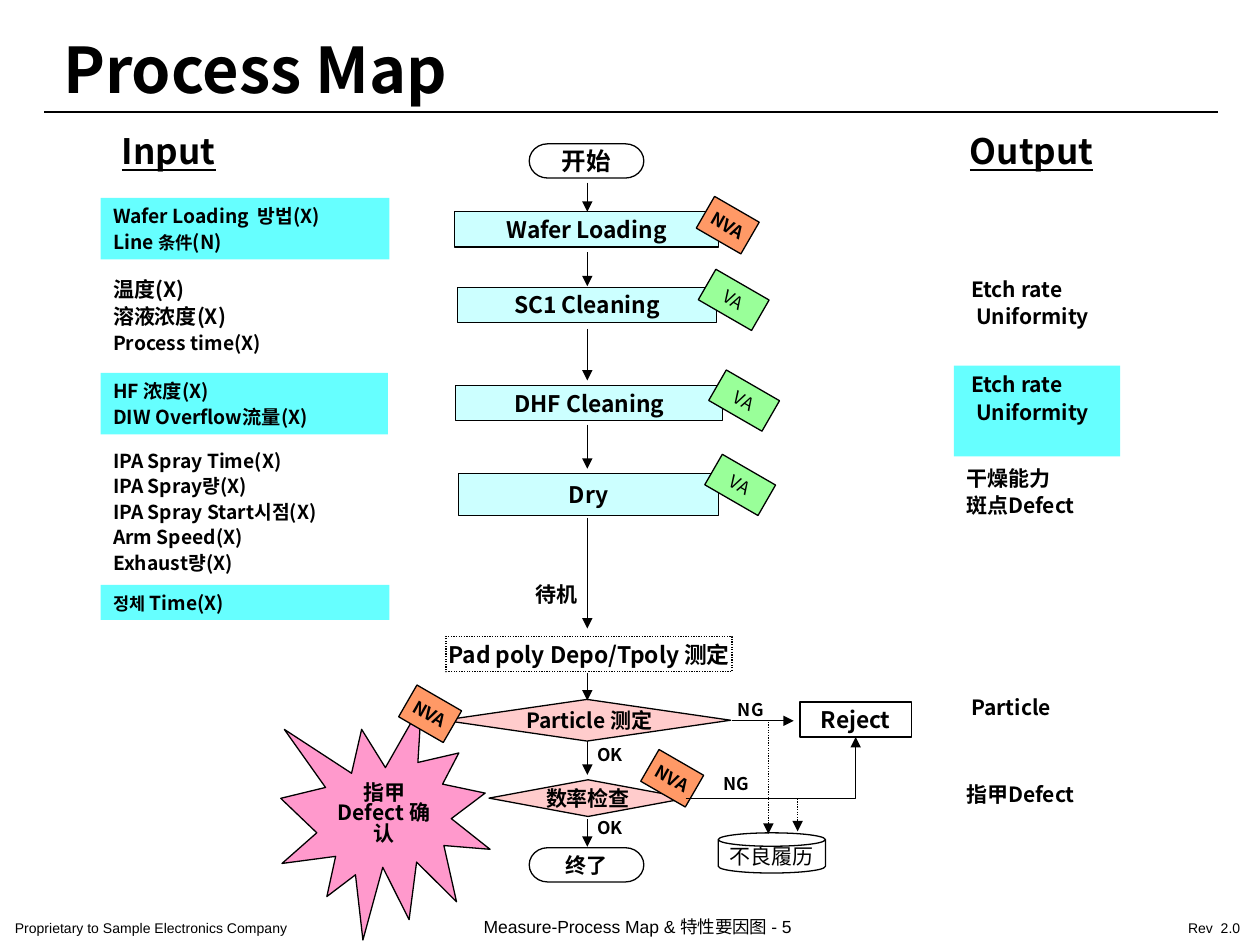
"""Build the process map slide."""
from lxml.etree import SubElement as Sub
from pptx import Presentation
from pptx.dml.color import RGBColor
from pptx.enum.dml import MSO_LINE as Dash
from pptx.enum.shapes import MSO_CONNECTOR as Con, MSO_SHAPE as Geo
from pptx.enum.text import MSO_ANCHOR as Anc, MSO_AUTO_SIZE as Auto, PP_ALIGN as Al
from pptx.oxml.ns import qn
from pptx.util import Cm, Pt

rgb = RGBColor.from_string
SANS = "Noto Sans CJK SC"
INK, AQUA, PALE, ROSE = "000000", "66FFFF", "CCFFFF", "FFCCCC"
MINT, RUST, PINK, WHITE = "99FF99", "FF9966", "FF99CC", "FFFFFF"

deck = Presentation()
deck.slide_width, deck.slide_height = Cm(25.4), Cm(19.05)
slide = deck.slides.add_slide(deck.slide_layouts[5])


def write(shape, paras, size, al=Al.CENTER, anc=Anc.MIDDLE, wrap=False, pad=(0.28, 0.15),
          gap=0, lead=None, tabs=(), face=SANS, **look):
    """Fill a shape with paragraphs, each a string or a list of (text, size)."""
    frame = shape.text_frame
    form = dict(auto_size=Auto.NONE, word_wrap=wrap, vertical_anchor=anc,
                margin_left=Cm(pad[0]), margin_right=Cm(pad[0]),
                margin_top=Cm(pad[1]), margin_bottom=Cm(pad[1]))
    for key, val in form.items():
        setattr(frame, key, val)
    for num, para in enumerate(paras):
        line = frame.add_paragraph() if num else frame.paragraphs[0]
        form = dict(alignment=al, space_before=Pt(gap), line_spacing=lead)
        for key, val in form.items():
            setattr(line, key, val)
        if tabs:
            line._p.get_or_add_pPr().set("marL", str(Cm(tabs[num])))
        for text, high in [(para, size)] if isinstance(para, str) else para:
            run = line.add_run()
            run.text = text
            form = dict(name=face, size=Pt(high), bold=True) | look
            for key, val in form.items():
                setattr(run.font, key, val)
            run.font.color.rgb = rgb(INK)
            east = SANS if face == "Arial" else face
            Sub(run._r.get_or_add_rPr(), qn("a:ea")).set("typeface", east)


def link(kind, ends, wide=0.75, dash=None, head=True):
    """Draw a line from (x, y) to (x, y), with an arrowhead if asked."""
    line = slide.shapes.add_connector(kind, *map(Cm, ends))
    line.line.color.rgb = rgb(INK)
    line.line.width = Pt(wide)
    if dash:
        line.line.dash_style = dash
    if head:
        Sub(line.line._get_or_add_ln(), qn("a:tailEnd")).set("type", "triangle")
    Sub(line._element.spPr, qn("a:effectLst"))
    return line


link(Con.STRAIGHT, (0.89, 2.26, 24.56, 2.26), wide=1.5, head=False)

title = slide.shapes.title
place = dict(left=0.99, top=0.56, width=22.99, height=1.65)
for key, val in place.items():
    setattr(title, key, Cm(val))
write(title, ["Process Map"], 36, al=Al.LEFT, wrap=True, face="Noto Sans CJK KR")

foot = dict(al=Al.LEFT, anc=Anc.TOP, pad=(0.3, 0.15), face="Arial", bold=False)
side = dict(al=Al.LEFT, anc=Anc.TOP, pad=(0.25, 0.13), wrap=True, gap=1.4)
head = side | dict(wrap=False, gap=0, underline=True)
cap = dict(pad=(0.25, 0.13), gap=5)
etch = ["Etch rate", "Uniformity"]
notes = [
    ((0, 18.39, 8.15, 0.64), None, ["Proprietary to Sample Electronics Company"], 8,
     foot | dict(wrap=True)),
    ((9.45, 18.31, 7.16, 0.74), None, ["Measure-Process Map & 特性要因图 - 5"], 10,
     foot | dict(wrap=True)),
    ((23.65, 18.39, 1.68, 0.64), None, ["Rev  2.0"], 8, foot),
    ((2.21, 2.49, 2.64, 1.09), None, ["Input"], 20, head),
    ((19.3, 2.49, 3.07, 1.09), None, ["Output"], 20, head),
    ((2.03, 3.99, 5.82, 1.24), AQUA,
     ["Wafer Loading  방법(X)", [("Line ", 11), ("条件", 10), ("(N)", 11)]], 11, side),
    ((2.03, 5.44, 5.77, 1.83), None,
     ["温度(X)", "溶液浓度(X)", [("Process time(X)", 11)]], 12, side),
    ((2.03, 7.52, 5.79, 1.24), AQUA, ["HF 浓度(X)", "DIW Overflow流量(X)"], 11, side),
    ((2.03, 8.92, 5.74, 2.77), None,
     ["IPA Spray Time(X)", "IPA Spray량(X)", "IPA Spray Start시점(X)",
      "Arm Speed(X)", "Exhaust량(X)"], 11, side),
    ((2.03, 11.79, 5.82, 0.71), AQUA, [[("정체", 10), (" Time(X)", 11)]], 11, side),
    ((19.23, 5.44, 3.35, 1.83), None, etch, 12, side | dict(tabs=(0.1, 0.2))),
    ((19.23, 7.37, 3.35, 1.83), AQUA, etch, 12, side | dict(tabs=(0.1, 0.2))),
    ((19.23, 9.25, 3.25, 1.32), None, ["干燥能力", "斑点Defect"], 12, side),
    ((19.23, 13.87, 3.38, 0.76), None, ["Particle"], 12, side | dict(tabs=(0.1,))),
    ((19.23, 15.62, 3.2, 0.76), None, ["指甲Defect"], 12, side),
    ((10.62, 11.63, 1.19, 0.71), None, ["待机"], 12, {}),
]
for spot, text in [((14.68, 14.1), "NG"), ((11.84, 15.01), "OK"),
                   ((11.84, 16.48), "OK"), ((14.38, 15.6), "NG")]:
    notes.append(((*spot, 0.91, 0.41), None, [text], 10, dict(pad=(0, 0))))
for box, fill, paras, size, form in notes:
    area = [Cm(val) for val in box]
    if fill:
        note = slide.shapes.add_shape(Geo.RECTANGLE, *area)
        note.shadow.inherit = False
        note.fill.solid()
        note.fill.fore_color.rgb = rgb(fill)
        note.line.fill.background()
    else:
        note = slide.shapes.add_textbox(*area)
    write(note, paras, size, **form)

burst = dict(wrap=True, pad=(0.25, 0.13), lead=0.8)
steps = [
    (Geo.FLOWCHART_TERMINATOR, (10.67, 2.9, 2.31, 0.69), None, "开始", 14, cap),
    (Geo.RECTANGLE, (9.17, 4.27, 5.31, 0.71), PALE, "Wafer Loading", 13, {}),
    (Geo.RECTANGLE, (9.22, 5.79, 5.23, 0.71), PALE, "SC1 Cleaning", 13, {}),
    (Geo.RECTANGLE, (9.19, 7.77, 5.38, 0.71), PALE, "DHF Cleaning", 13, {}),
    (Geo.RECTANGLE, (9.25, 9.55, 5.23, 0.84), PALE, "Dry", 13, {}),
    (Geo.RECTANGLE, (8.99, 12.83, 5.77, 0.71), None, "Pad poly Depo/Tpoly 测定", 13, {}),
    (Geo.DIAMOND, (8.94, 14.1, 5.79, 0.84), ROSE, " Particle 测定", 12, {}),
    (Geo.DIAMOND, (9.86, 15.72, 3.99, 0.74), ROSE, "数率检查", 12, {}),
    (Geo.RECTANGLE, (16.13, 14.15, 2.24, 0.71), WHITE, "Reject", 13, dict(gap=1.6)),
    (Geo.FLOWCHART_TERMINATOR, (10.67, 17.09, 2.31, 0.69), None, "终了", 12, cap),
    (Geo.FLOWCHART_MAGNETIC_DISK, (14.48, 16.79, 2.16, 0.81), None, "不良履历", 12,
     cap | dict(bold=False)),
    (Geo.EXPLOSION1, (5.66, 14.2, 4.22, 4.75), PINK, "指甲Defect 确认", 12, burst),
]
plain = dict(wrap=True, gap=6.2, bold=False)
tight = dict(wrap=True, gap=6.2, pad=(0.1, 0.15))
for spot in [(14.17, 5.69), (14.38, 7.72), (14.3, 9.42)]:
    steps.append((Geo.RECTANGLE, (*spot, 1.24, 0.71), MINT, "VA", 10, plain))
for spot in [(14.15, 4.17), (8.15, 14.02), (13.03, 15.32)]:
    steps.append((Geo.RECTANGLE, (*spot, 1.04, 0.74), RUST, "NVA", 10, tight))
for geo, box, fill, text, size, form in steps:
    step = slide.shapes.add_shape(geo, *map(Cm, box))
    step.shadow.inherit = False
    if fill:
        step.fill.solid()
        step.fill.fore_color.rgb = rgb(fill)
    else:
        step.fill.background()
    step.line.color.rgb = rgb(INK)
    step.line.width = Pt(0.75)
    if fill in (MINT, RUST):
        step.rotation = 30
    if text.startswith("Pad"):
        step.line.dash_style = Dash.ROUND_DOT
    write(step, [text], size, **form)

for top, end in [(3.68, 4.27), (5.08, 5.77), (6.63, 7.67), (8.56, 9.45),
                 (10.44, 12.67), (13.56, 14.12), (14.94, 15.62), (16.51, 17.07)]:
    link(Con.STRAIGHT, (11.84, top, 11.84, end))
link(Con.STRAIGHT, (14.76, 14.53, 16, 14.53))
bend = link(Con.ELBOW, (13.82, 16.1, 17.25, 14.86))
bend._element.spPr.find(qn("a:prstGeom")).set("prst", "bentConnector2")
for left, top, end in [(15.49, 14.55, 16.81), (16.08, 16.1, 16.76)]:
    link(Con.STRAIGHT, (left, top, left, end), dash=Dash.ROUND_DOT)

deck.save("out.pptx")
